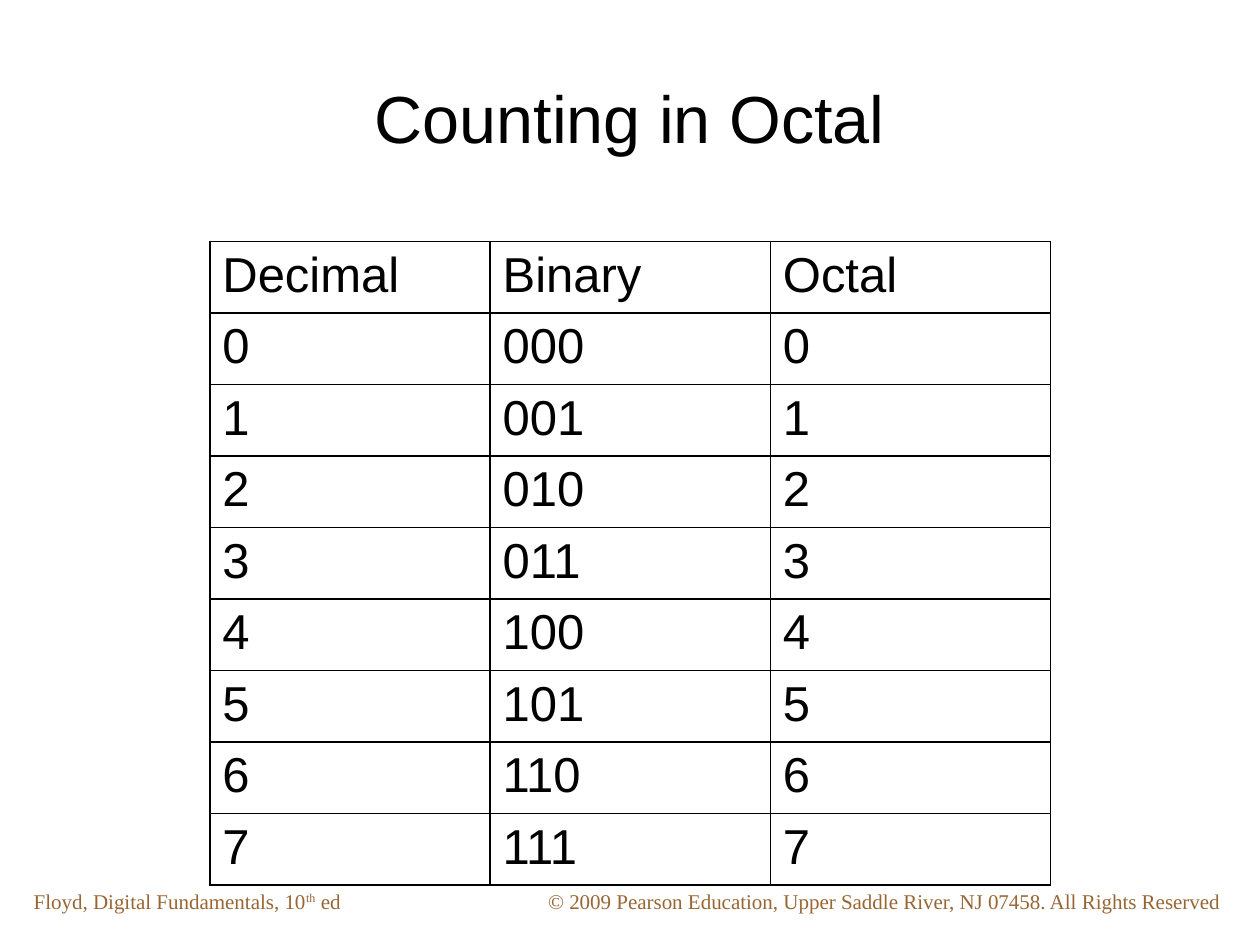
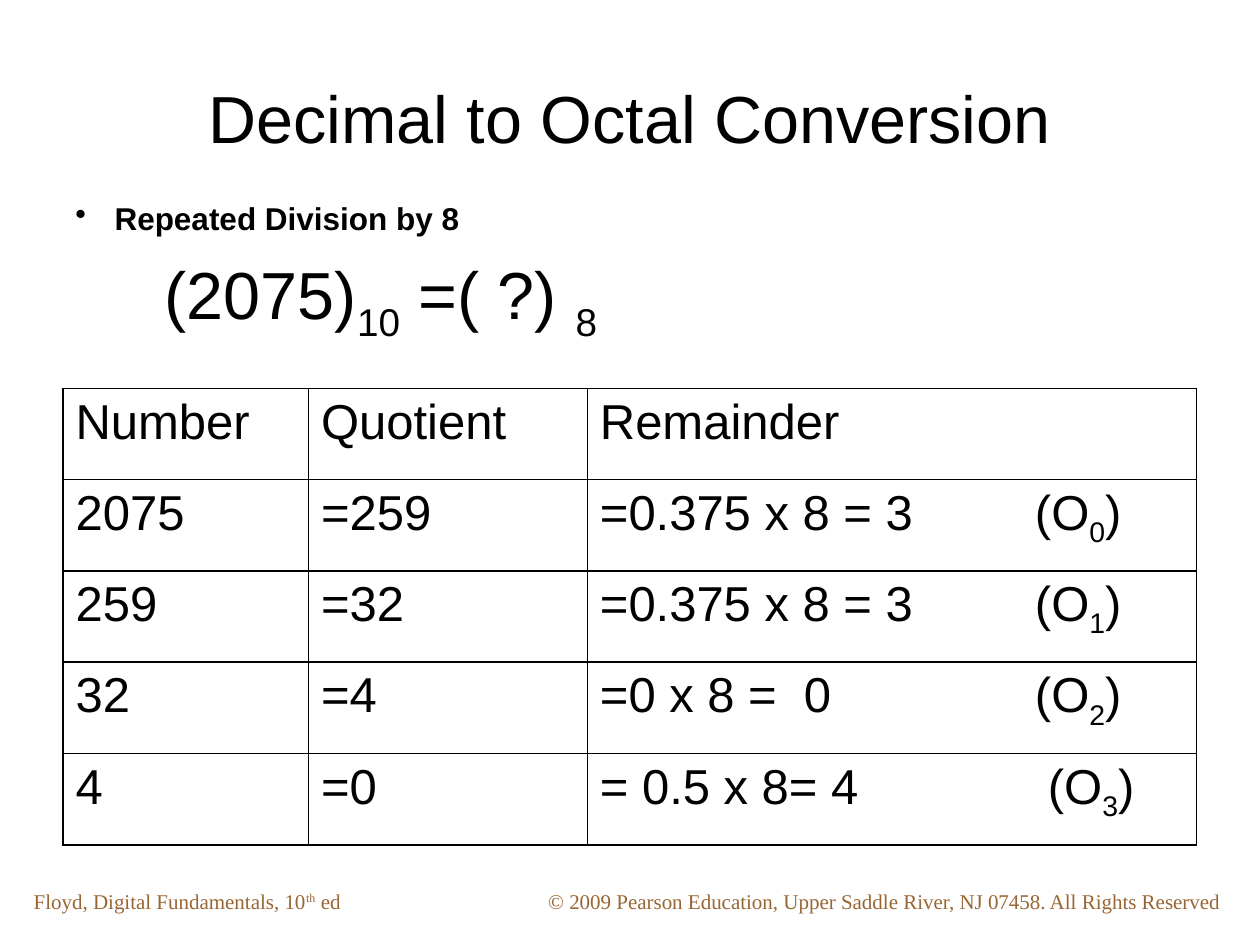
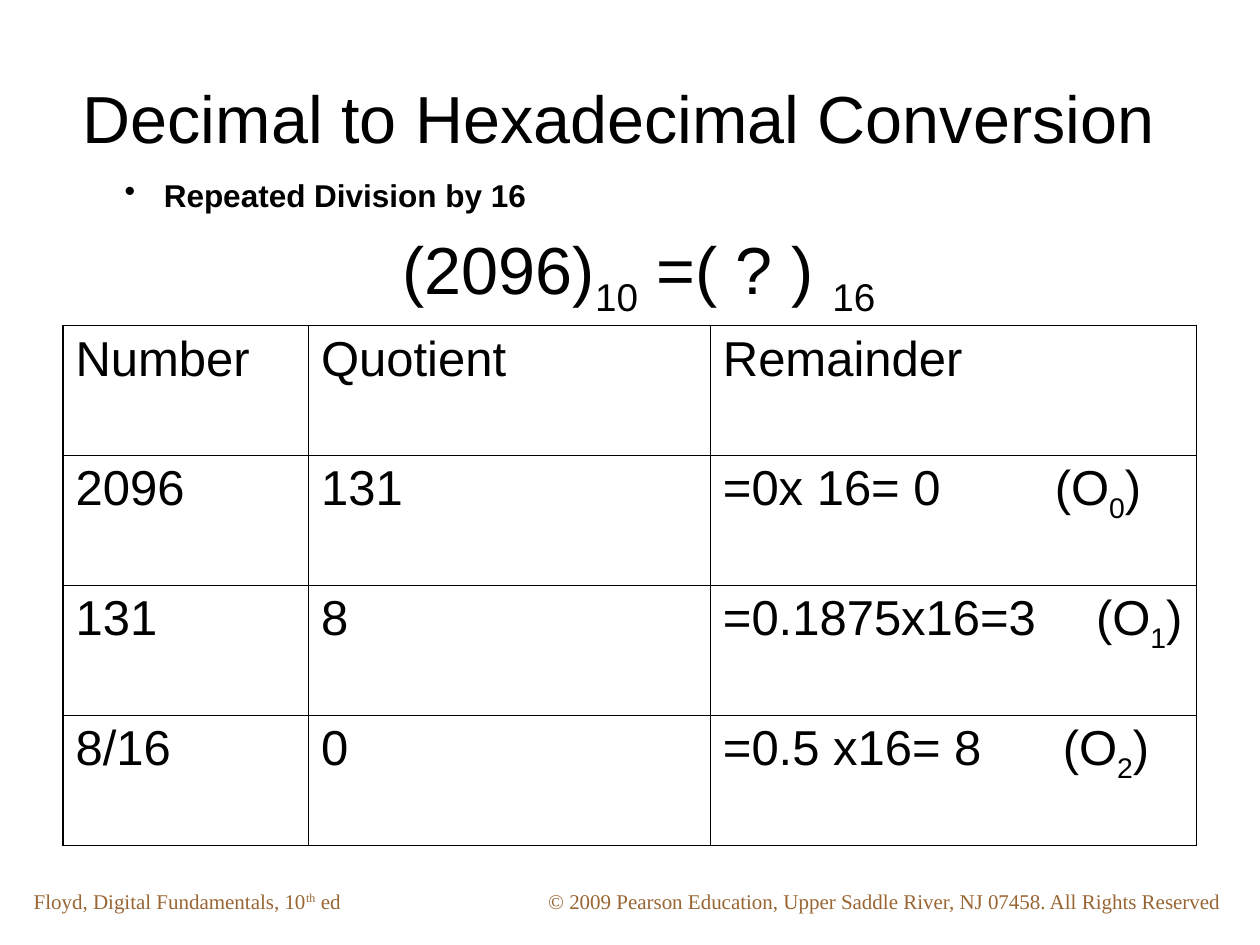
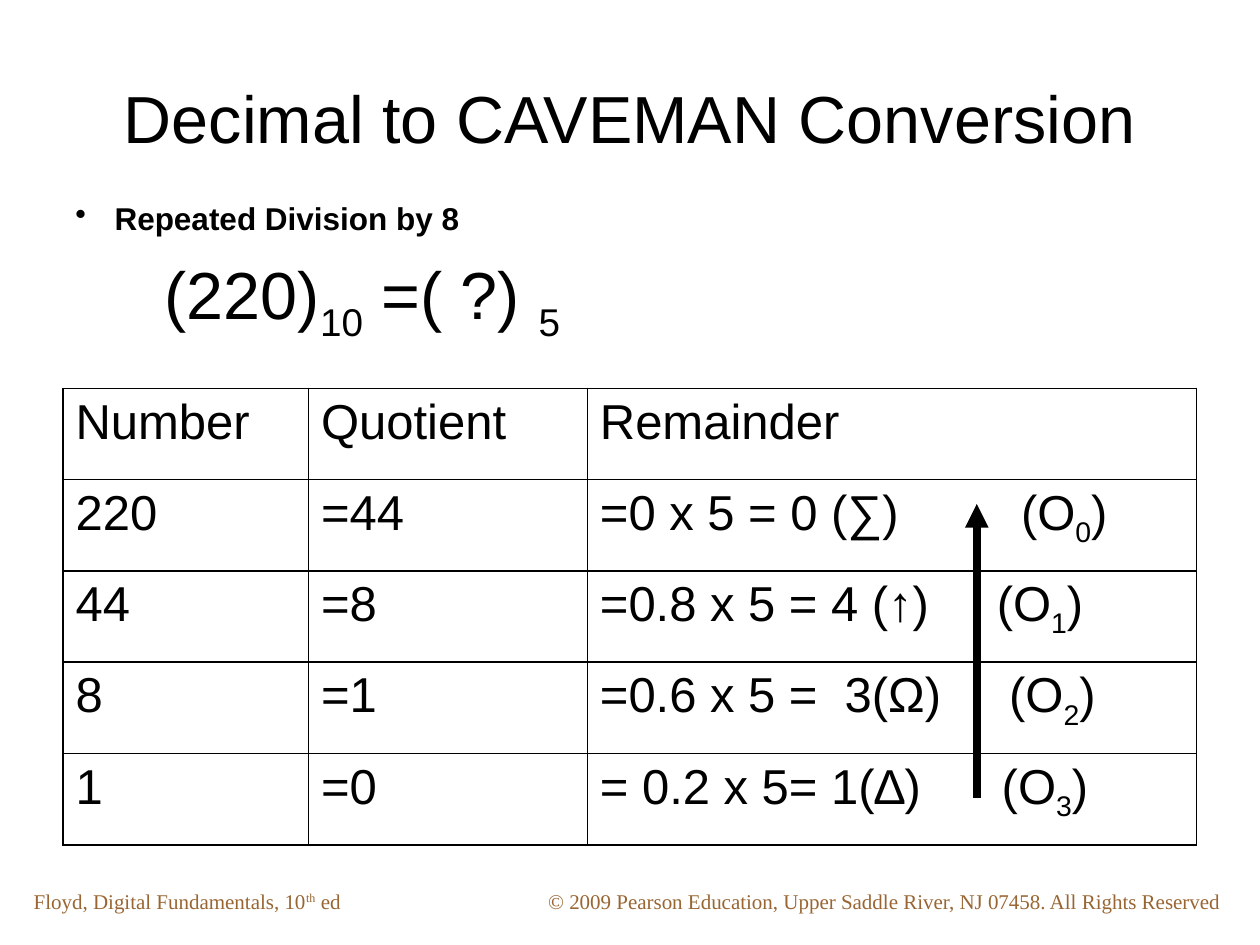
from dataclasses import dataclass
from typing import NamedTuple, Optional

import lxml.etree
import pptx
import pptx.dml.color
import pptx.enum.shapes
import pptx.enum.text
import pptx.oxml.ns
import pptx.util
from pptx.util import Cm

COLORS = {"ink": "000000", "footer": "996633"}
SUB, SUPER = -25000, 30000
ALIGN = pptx.enum.text.PP_ALIGN
ANCHOR = pptx.enum.text.MSO_ANCHOR


class Piece(NamedTuple):
    text: str
    baseline: int = 0


class Style(NamedTuple):
    size: int
    font: str = "Arial"
    color: str = "ink"
    bold: bool = False


class Box(NamedTuple):
    left: float
    top: float
    width: float
    height: float


class Remainder(NamedTuple):
    sum: str
    digit: int
    tab: float


@dataclass
class Grid:
    left: float
    top: float
    widths: list[float]
    row_height: float
    rows: list[tuple]


@dataclass
class Conversion:
    title: str
    method: str
    number: str
    equals: str
    base: str
    grid: Grid
    title_box: Box
    method_box: Box
    equation_box: Box
    method_centred: bool = False
    arrow: bool = False


TITLE = Style(38)
CELL = Style(28)
METHOD = Style(18, bold=True)
FOOTER = Style(12, "Times New Roman", "footer")

TITLE_BOX = Box(1.27, 0.76, 22.86, 3.18)
METHOD_BOX = Box(1.27, 3.89, 17.15, 1.02)
EQUATION_BOX = Box(3.07, 4.98, 13.54, 1.88)
HEADER = ("Number", "Quotient", "Remainder")
FOOTERS = [
    (Box(10.8, 17.78, 14.17, 0.76),
     [Piece("© 2009 Pearson Education, Upper Saddle River, NJ 07458. All Rights Reserved")]),
    (Box(0.43, 17.78, 7.82, 0.76),
     [Piece("Floyd, Digital Fundamentals, 10"), Piece("th", SUPER), Piece(" ed")]),
]


def rgb(name: str) -> pptx.dml.color.RGBColor:
    return pptx.dml.color.RGBColor.from_string(COLORS[name])


def add_xml(parent, tag: str, **attrs: str):
    el = lxml.etree.SubElement(parent, pptx.oxml.ns.qn(tag))
    for key, value in attrs.items():
        el.set(key, value)
    return el


def write(p, pieces: list[Piece], style: Style) -> None:
    for piece in pieces:
        r = p.add_run()
        r.text = piece.text
        r.font.name = style.font
        r.font.size = pptx.util.Pt(style.size)
        r.font.bold = style.bold
        r.font.color.rgb = rgb(style.color)
        if piece.baseline:
            r._r.get_or_add_rPr().set("baseline", str(piece.baseline))


def add_text(s, box: Box, pieces: list[Piece], style: Style,
             align=ALIGN.LEFT, anchor=ANCHOR.TOP, bullet: bool = False) -> None:
    sp = s.shapes.add_textbox(*map(Cm, box))
    tf = sp.text_frame
    tf.word_wrap = True
    tf.vertical_anchor = anchor
    p = tf.paragraphs[0]
    p.alignment = align
    if bullet:
        pPr = p._p.get_or_add_pPr()
        pPr.set("marL", str(Cm(0.79)))
        pPr.set("indent", str(-Cm(0.79)))
        add_xml(add_xml(pPr, "a:buClr"), "a:srgbClr", val=COLORS["ink"])
        add_xml(pPr, "a:buChar", char="•")
    write(p, pieces, style)


def add_borders(cell) -> None:
    tcPr = cell._tc.get_or_add_tcPr()
    for side in "LRTB":
        ln = add_xml(tcPr, f"a:ln{side}", w=str(pptx.util.Pt(1)))
        add_xml(add_xml(ln, "a:solidFill"), "a:srgbClr", val=COLORS["ink"])


def fill_cell(cell, value) -> None:
    add_borders(cell)
    cell.fill.background()
    p = cell.text_frame.paragraphs[0]
    p.alignment = ALIGN.JUSTIFY
    if isinstance(value, Remainder):
        tabs = add_xml(p._p.get_or_add_pPr(), "a:tabLst")
        add_xml(tabs, "a:tab", pos=str(Cm(value.tab)), algn="l")
        pieces = [Piece(f"{value.sum}\t(O"), Piece(str(value.digit), SUB), Piece(")")]
    else:
        pieces = [Piece(value)]
    write(p, pieces, CELL)


def add_grid(s, grid: Grid) -> None:
    table = s.shapes.add_table(
        len(grid.rows), len(grid.widths), Cm(grid.left), Cm(grid.top),
        Cm(sum(grid.widths)), Cm(grid.row_height * len(grid.rows))).table
    table.first_row = table.horz_banding = False
    for column, width in zip(table.columns, grid.widths):
        column.width = Cm(width)
    for i, values in enumerate(grid.rows):
        table.rows[i].height = Cm(grid.row_height)
        for j, value in enumerate(values):
            fill_cell(table.cell(i, j), value)


def add_arrow(s, x: float, bottom: float, top: float) -> None:
    line = s.shapes.add_connector(
        pptx.enum.shapes.MSO_CONNECTOR.STRAIGHT, Cm(x), Cm(bottom), Cm(x), Cm(top))
    line.line.color.rgb = rgb("ink")
    line.line.width = pptx.util.Pt(4.5)
    add_xml(line.line._get_or_add_ln(), "a:tailEnd", type="triangle")
    add_xml(line._element.spPr, "a:effectLst")


def add_slide(prs, title: str, grid: Grid, title_box: Box = TITLE_BOX):
    s = prs.slides.add_slide(prs.slide_layouts[6])
    for box, pieces in FOOTERS:
        add_text(s, box, pieces, FOOTER)
    add_text(s, title_box, [Piece(title)], TITLE, ALIGN.CENTER, ANCHOR.MIDDLE)
    add_grid(s, grid)
    return s


def add_conversion(prs, c: Conversion) -> None:
    s = add_slide(prs, c.title, c.grid, c.title_box)
    align = ALIGN.CENTER if c.method_centred else ALIGN.LEFT
    add_text(s, c.method_box, [Piece(c.method)], METHOD, align, bullet=True)
    equation = [Piece(c.number), Piece("10", SUB), Piece(c.equals), Piece(c.base, SUB)]
    add_text(s, c.equation_box, equation, TITLE)
    if c.arrow:
        add_arrow(s, 19.69, 16.08, 10.16)


def five_row_grid(rows: list[tuple]) -> Grid:
    return Grid(1.27, 7.83, [4.95, 5.62, 12.28], 1.84, [HEADER, *rows])


COUNTING = Grid(
    4.23, 4.87, [5.65] * 3, 1.44,
    [("Decimal", "Binary", "Octal")] + [(str(n), f"{n:03b}", f"{n:o}") for n in range(8)])

CONVERSIONS = [
    Conversion(
        "Decimal to Octal Conversion", "Repeated Division by 8",
        "(2075)", " =( ?) ", "8",
        five_row_grid([
            ("2075", "=259", Remainder("=0.375 x 8 = 3", 0, 8.77)),
            ("259", "=32", Remainder("=0.375 x 8 = 3", 1, 8.77)),
            ("32", "=4", Remainder("=0 x 8 =  0", 2, 8.77)),
            ("4", "=0", Remainder("= 0.5 x 8= 4", 3, 9.03)),
        ]),
        TITLE_BOX, METHOD_BOX, EQUATION_BOX),
    Conversion(
        "Decimal to Hexadecimal Conversion", "Repeated Division by 16",
        "(2096)", " =( ? ) ", "16",
        Grid(1.27, 6.56, [4.95, 8.1, 9.8], 2.62, [
            HEADER,
            ("2096", "131", Remainder("=0x 16= 0", 0, 6.69)),
            ("131", "8", Remainder("=0.1875x16=3", 1, 7.52)),
            ("8/16", "0", Remainder("=0.5 x16= 8", 2, 6.85)),
        ]),
        TITLE_BOX._replace(left=1.05), Box(1.9, 3.43, 9.32, 1.07),
        Box(7.87, 4.47, 11.43, 1.88), method_centred=True),
    Conversion(
        "Decimal to CAVEMAN Conversion", "Repeated Division by 8",
        "(220)", " =( ?) ", "5",
        five_row_grid([
            ("220", "=44", Remainder("=0 x 5 = 0 (∑)", 0, 8.49)),
            ("44", "=8", Remainder("=0.8 x 5 = 4 (↑)", 1, 8.0)),
            ("8", "=1", Remainder("=0.6 x 5 =  3(Ω)", 2, 8.25)),
            ("1", "=0", Remainder("= 0.2 x 5= 1(∆)", 3, 8.1)),
        ]),
        TITLE_BOX, METHOD_BOX, EQUATION_BOX, arrow=True),
]


def main() -> None:
    prs = pptx.Presentation()
    prs.slide_width, prs.slide_height = Cm(25.4), Cm(19.05)
    add_slide(prs, "Counting in Octal", COUNTING)
    for conversion in CONVERSIONS:
        add_conversion(prs, conversion)
    prs.save("out.pptx")


if __name__ == "__main__":
    main()
